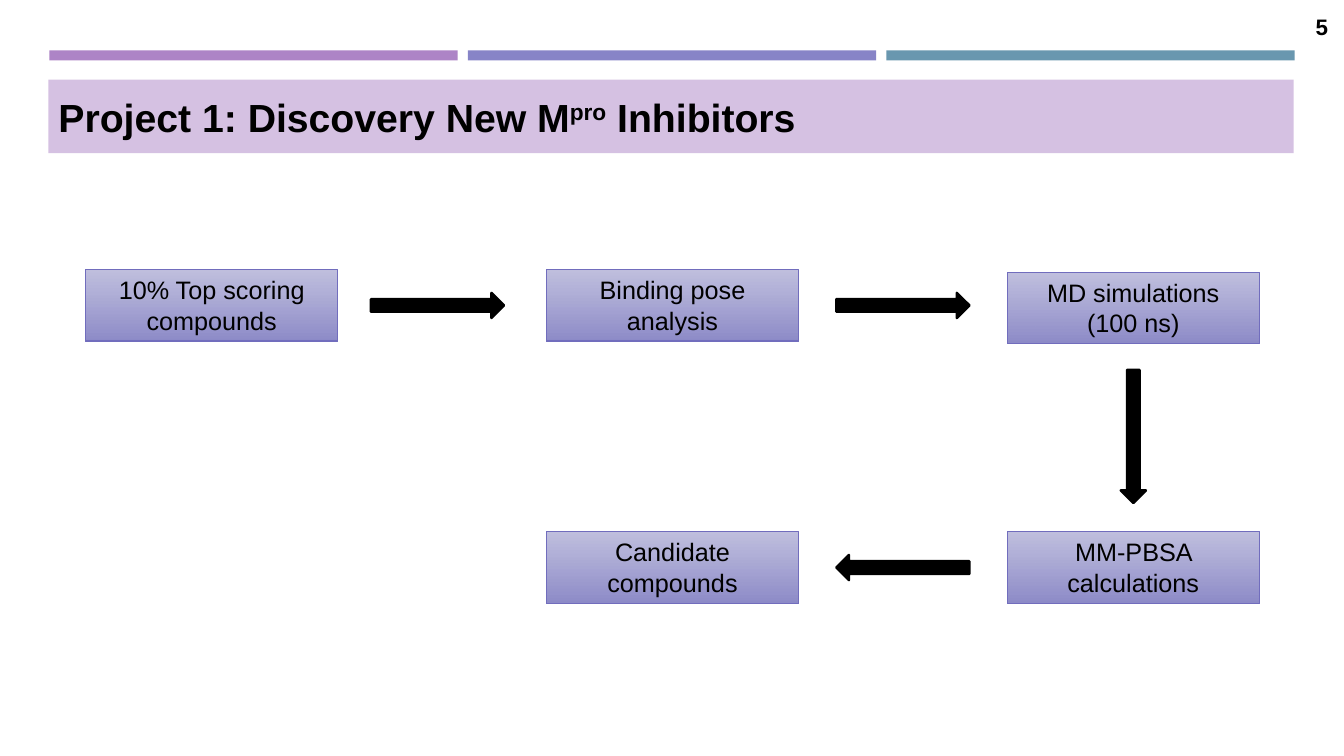
from lxml import etree
from pptx import Presentation, util as u
from pptx.dml.color import RGBColor
from pptx.enum import shapes, text
from pptx.oxml import ns

COLORS = {
    "purple": "AD84C6", "violet": "8784C7", "teal": "6997AF", "black": "000000",
    "box top": "B9B8DB", "box bottom": "8D8BC8", "box edge": "716DBD",
}
FONT = "Arial"
SHAPE = shapes.MSO_SHAPE
CENTER, LEFT = text.PP_ALIGN.CENTER, text.PP_ALIGN.LEFT
MIDDLE, TOP = text.MSO_ANCHOR.MIDDLE, text.MSO_ANCHOR.TOP


def color(name):
    return RGBColor.from_string(COLORS[name])


def set_alpha(shape, name, percent):
    """Make the first use of a colour in the shape partly transparent."""
    for node in shape._element.iter(ns.qn("a:srgbClr")):
        if node.get("val") == COLORS[name]:
            etree.SubElement(node, ns.qn("a:alpha"), val=str(percent * 1000))
            return


class FlowSlide:
    # Flowchart grid in inches: centre of the first cell, and the steps
    ORIGIN = (2.1, 3.03)
    STEP = (4.57, 2.6)
    BOX = (2.5, 0.71)
    ARROW = (1.32, 0.25)

    def __init__(self, deck):
        self.slide = deck.slides.add_slide(deck.slide_layouts[5])

    def cell(self, column, row, size):
        """Left, top, width and height of an item centred on a grid point."""
        corner = [start + step * index - length / 2 for start, step, index, length
                  in zip(self.ORIGIN, self.STEP, (column, row), size)]
        return [u.Inches(value) for value in (*corner, *size)]

    def add_words(self, shape, paragraphs, size, align, anchor, bold=False):
        """Fill a shape with paragraphs, each a list of (words, baseline)."""
        frame = shape.text_frame
        settings = {"word_wrap": True, "vertical_anchor": anchor,
                    "auto_size": text.MSO_AUTO_SIZE.NONE}
        for name, value in settings.items():
            setattr(frame, name, value)
        for index, spans in enumerate(paragraphs):
            para = frame.add_paragraph() if index else frame.paragraphs[0]
            para.alignment = align
            for words, baseline in spans:
                span = para.add_run()
                span.text = words
                style = {"name": FONT, "size": u.Pt(size), "bold": bold}
                for name, value in style.items():
                    setattr(span.font, name, value)
                span.font.color.rgb = color("black")
                if baseline:
                    span._r.get_or_add_rPr().set("baseline", str(baseline * 1000))

    def shape(self, kind, place, fill, edge=None, width=1):
        item = self.slide.shapes.add_shape(kind, *place)
        item.shadow.inherit = False
        if fill:
            item.fill.solid()
            item.fill.fore_color.rgb = color(fill)
        if edge:
            item.line.color.rgb = color(edge)
            item.line.width = u.Pt(width)
        else:
            item.line.fill.background()
        return item

    def bar(self, index, fill):
        place = [u.Inches(v) for v in (0.49 + 4.15 * index, 0.5, 4.05, 0.1)]
        self.shape(SHAPE.RECTANGLE, place, fill)

    def title(self, spans):
        title = self.slide.shapes.title
        place = {"left": 0.48, "top": 0.79, "width": 12.35, "height": 0.73}
        for name, value in place.items():
            setattr(title, name, u.Inches(value))
        title.fill.solid()
        title.fill.fore_color.rgb = color("purple")
        set_alpha(title, "purple", 50)
        self.add_words(title, [spans], 28, LEFT, MIDDLE, bold=True)

    def box(self, column, row, *lines):
        place = self.cell(column, row, self.BOX)
        box = self.shape(SHAPE.RECTANGLE, place, None, "box edge")
        box.fill.gradient()
        box.fill.gradient_angle = 270
        for stop, name in zip(box.fill.gradient_stops, ("box top", "box bottom")):
            stop.color.rgb = color(name)
        set_alpha(box, "box top", 90)
        self.add_words(box, [[(line, 0)] for line in lines], 18, CENTER, TOP)

    def arrow(self, column, row, rotation=0):
        place = self.cell(column, row, self.ARROW)
        arrow = self.shape(SHAPE.RIGHT_ARROW, place, "black", "black", 1.75)
        arrow.rotation = rotation

    def number(self, label):
        place = [u.Inches(v) for v in (12.94, 0.06, 0.34, 0.4)]
        box = self.slide.shapes.add_textbox(*place)
        self.add_words(box, [[(label, 0)]], 16, CENTER, MIDDLE, bold=True)


def main():
    deck = Presentation()
    deck.slide_width, deck.slide_height = u.Inches(13.33), u.Inches(7.5)
    page = FlowSlide(deck)

    # Header
    for index, fill in enumerate(("purple", "violet", "teal")):
        page.bar(index, fill)
    page.title([("Project 1: Discovery New M", 0), ("pro", 30), (" Inhibitors", 0)])

    # Workflow steps
    page.box(0, 0, "10% Top scoring compounds")
    page.box(1, 0, "Binding pose analysis")
    page.box(2, 0.01, "MD simulations", "(100 ns)")
    page.box(2, 1, "MM-PBSA calculations")
    page.box(1, 1, "Candidate compounds")

    # Arrows between the steps
    page.arrow(0.49, 0)
    page.arrow(1.5, 0)
    page.arrow(2, 0.5, rotation=90)
    page.arrow(1.5, 1, rotation=180)

    page.number("5")
    deck.save("out.pptx")


if __name__ == "__main__":
    main()
